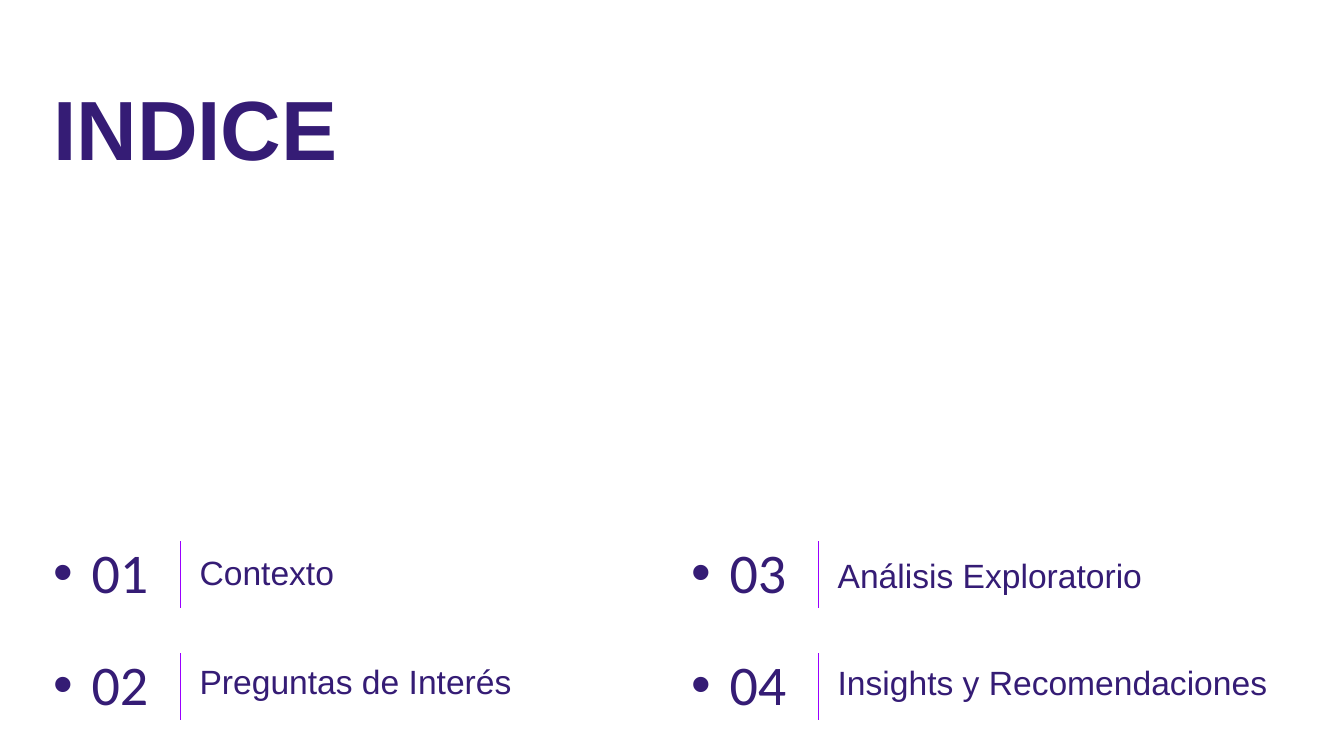
from dataclasses import dataclass

from lxml.etree import SubElement
from pptx import Presentation
from pptx.dml.color import RGBColor
from pptx.enum.shapes import MSO_CONNECTOR as Connector
from pptx.enum.text import MSO_ANCHOR as Anchor
from pptx.oxml.ns import qn
from pptx.util import Cm, Pt


@dataclass(frozen=True)
class Theme:
    ink: RGBColor = RGBColor(0x35, 0x1C, 0x75)
    accent: RGBColor = RGBColor(0x99, 0x00, 0xFF)
    heading_font: str = "Arial"
    number_font: str = "Calibri"
    title_size: int = 60
    number_size: int = 40
    topic_size: int = 24
    rule_width: int = 1


THEME = Theme()

# Index grid in centimetres: two columns of two entries
LEFT, TOP = 1.35, 13.64
COLUMN_STEP, ROW_STEP = 16.08, 2.82
RULE_OFFSET, TOPIC_OFFSET = 3.2, 3.68
ENTRY_HEIGHT = 1.68
TOPIC_WIDTHS = (13.69, 11.4)

# Topic and its vertical nudge, column by column
COLUMNS = (
    (("Contexto", 0), ("Preguntas de Interés", -0.08)),
    (("Análisis Exploratorio", 0.08), ("Insights y Recomendaciones", -0.05)),
)


def add_text(slide, text, box, font, size, spacing=0.9, bold=False,
             anchor=Anchor.TOP, margins=(0, 0)):
    frame = slide.shapes.add_textbox(*map(Cm, box)).text_frame
    frame.word_wrap = True
    frame.vertical_anchor = anchor
    frame.margin_left = frame.margin_right = Cm(margins[0])
    frame.margin_top = frame.margin_bottom = Cm(margins[1])
    paragraph = frame.paragraphs[0]
    paragraph.text = text
    paragraph.line_spacing = spacing
    run_font = paragraph.runs[0].font
    run_font.name, run_font.size, run_font.bold = font, Pt(size), bold
    run_font.color.rgb = THEME.ink
    return paragraph


def add_bullet(paragraph):
    properties = paragraph._p.get_or_add_pPr()
    properties.set("marL", str(Cm(0.64)))
    properties.set("indent", str(Cm(-0.71)))
    color = SubElement(properties, qn("a:buClr"))
    SubElement(color, qn("a:srgbClr"), val=str(THEME.ink))
    SubElement(properties, qn("a:buFont"), typeface=THEME.heading_font)
    SubElement(properties, qn("a:buChar"), char="•")


def add_rule(slide, x, top):
    rule = slide.shapes.add_connector(
        Connector.STRAIGHT, Cm(x), Cm(top), Cm(x), Cm(top + ENTRY_HEIGHT))
    rule.line.color.rgb = THEME.accent
    rule.line.width = Pt(THEME.rule_width)
    SubElement(rule._element.spPr, qn("a:effectLst"))


def add_entry(slide, number, topic, left, top, topic_width, nudge):
    numeral = add_text(slide, f" {number:02d}", (left, top + 0.1, 3.68, 1.5),
                       THEME.number_font, THEME.number_size)
    add_bullet(numeral)
    add_rule(slide, left + RULE_OFFSET, top)
    add_text(slide, topic,
             (left + TOPIC_OFFSET, top + nudge, topic_width, ENTRY_HEIGHT),
             THEME.heading_font, THEME.topic_size, anchor=Anchor.MIDDLE)


def main():
    deck = Presentation()
    deck.slide_width, deck.slide_height = Cm(33.87), Cm(19.05)
    slide = deck.slides.add_slide(deck.slide_layouts[6])

    # Title
    add_text(slide, "INDICE", (1.09, 2.29, 12.29, 2.18), THEME.heading_font,
             THEME.title_size, spacing=0.8, bold=True, margins=(0.25, 0.13))

    # Numbered entries
    number = 1
    for column, (entries, width) in enumerate(zip(COLUMNS, TOPIC_WIDTHS)):
        for row, (topic, nudge) in enumerate(entries):
            add_entry(slide, number, topic, LEFT + column * COLUMN_STEP,
                      TOP + row * ROW_STEP, width, nudge)
            number += 1

    deck.save("out.pptx")


if __name__ == "__main__":
    main()
